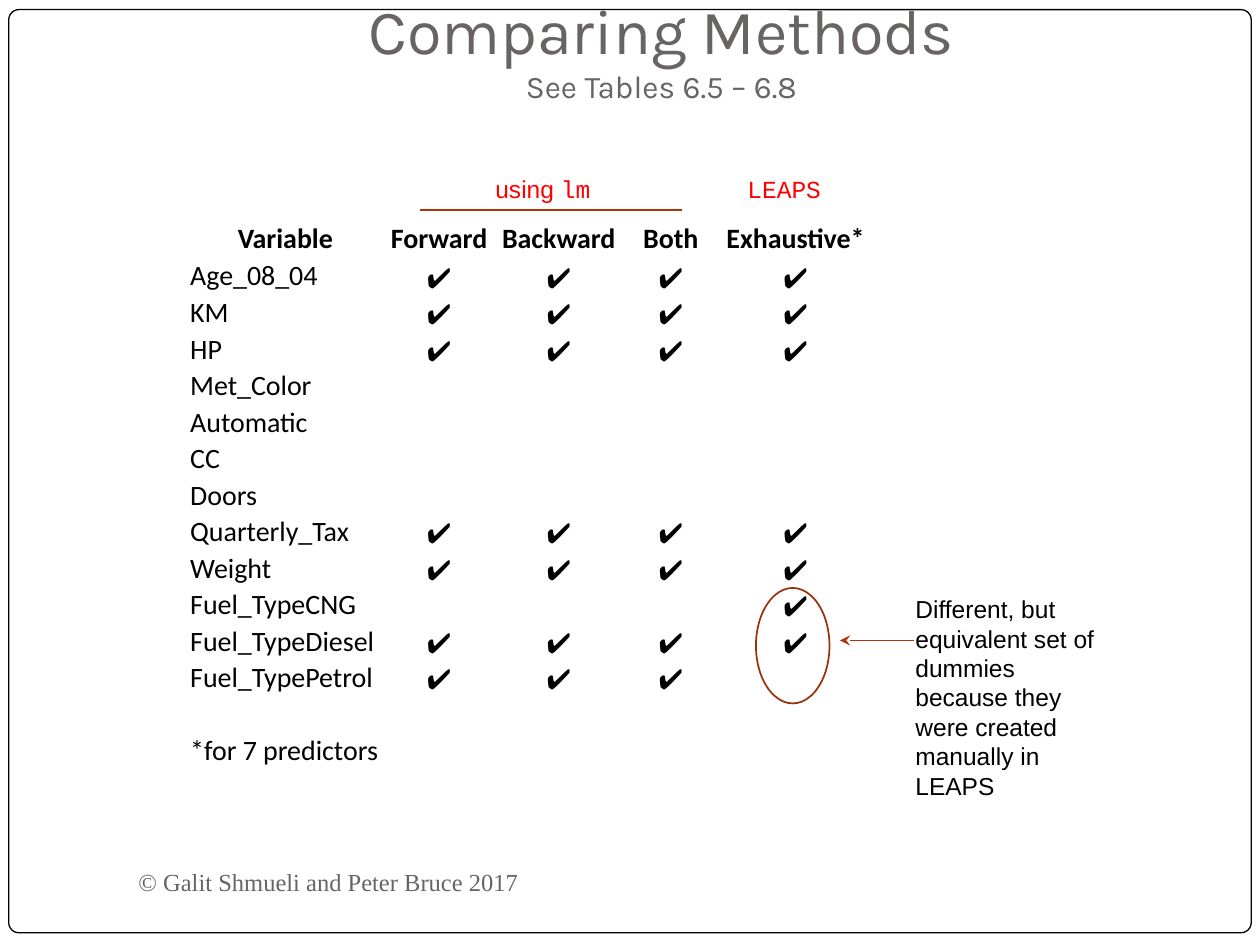
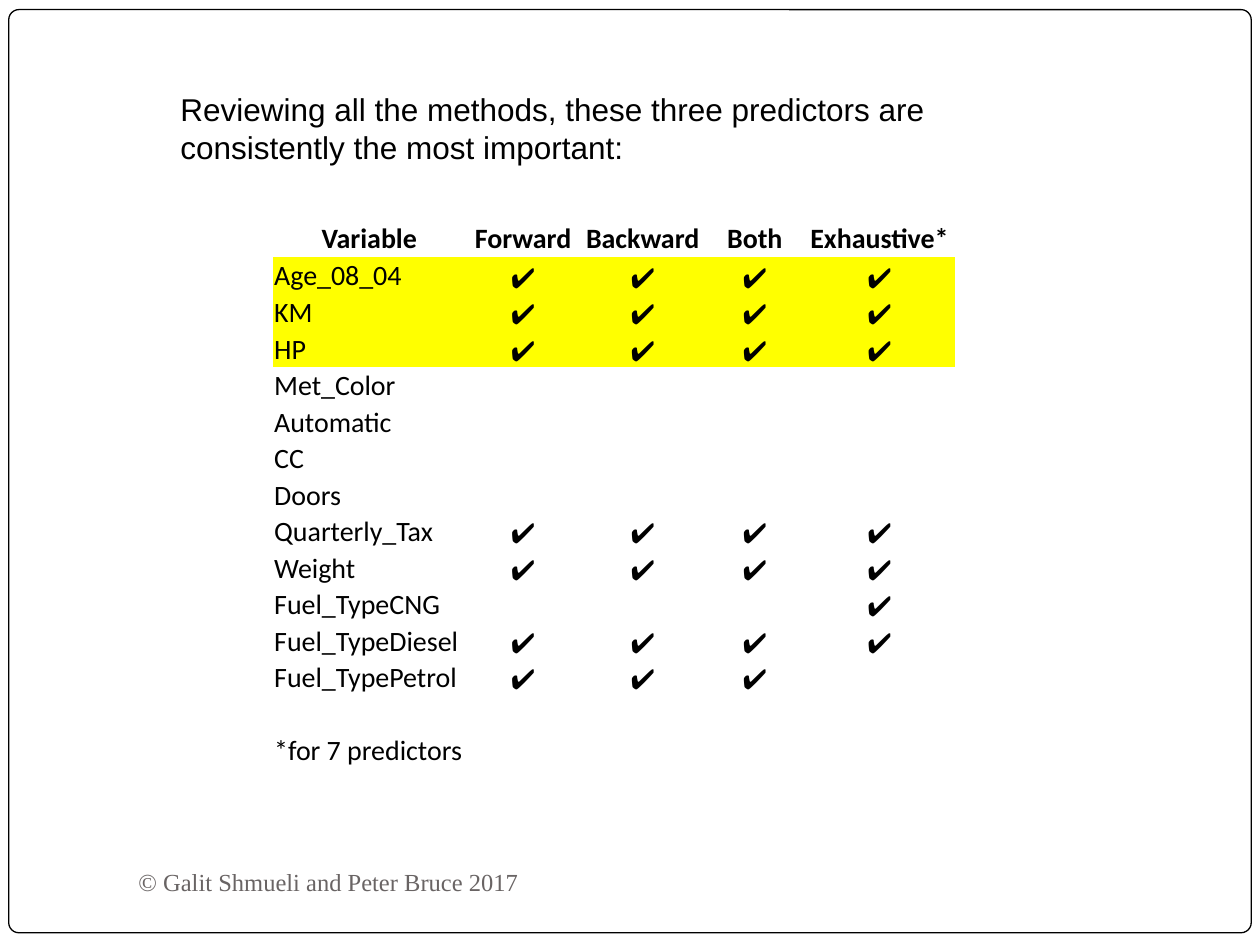
from lxml.etree import SubElement
from pptx import Presentation
from pptx.dml.color import RGBColor
from pptx.enum.shapes import MSO_CONNECTOR as CONN, MSO_SHAPE as SHAPE
from pptx.enum.text import MSO_ANCHOR as ANCHOR, PP_ALIGN as ALIGN
from pptx.oxml.ns import qn
from pptx.util import Pt

BLACK, WHITE, GREY, RED = "000000", "FFFFFF", "696464", "FF0000"
RUST, BROWN, YELLOW = "AF3408", "9B320E", "FFFF00"
NO_STYLE = "{2D5ABB26-0587-4C30-8999-92F81FD0307C}"
CHECK = "✔"
METHODS = ["Forward", "Backward", "Both", "Exhaustive*"]
COL_WIDTHS = [110.16, 65.52, 71.28, 56.88, 85.68]
ROW_HEIGHT = 20.88
ALL, NONE = [CHECK] * 4, [""] * 4
SELECTED = {
    "Age_08_04": ALL,
    "KM": ALL,
    "HP": ALL,
    "Met_Color": NONE,
    "Automatic": NONE,
    "CC": NONE,
    "Doors": NONE,
    "Quarterly_Tax": ALL,
    "Weight": ALL,
    "Fuel_TypeCNG": ["", "", "", CHECK],
    "Fuel_TypeDiesel": ALL,
    "Fuel_TypePetrol": [CHECK, CHECK, CHECK, ""],
    "": NONE,
    "*for 7 predictors": NONE,
}


def rgb(color):
    return RGBColor.from_string(color)


def set_font(font, name, size, color, bold=False):
    font.name, font.size, font.bold = name, Pt(size), bold
    font.color.rgb = rgb(color)


class Deck:
    """Holds the shared style and the slide being built."""

    def __init__(self):
        self.prs = Presentation()
        self.prs.slide_width, self.prs.slide_height = Pt(720), Pt(540)

    def new_slide(self):
        self.s = self.prs.slides.add_slide(self.prs.slide_layouts[6])
        frame = self.shape(SHAPE.ROUNDED_RECTANGLE, 5, 5.5, 710, 527.5, BLACK, 0.75, WHITE)
        frame.adjustments[0] = 0.011
        self.text(72, 486, 312, 36, "© Galit Shmueli and Peter Bruce 2017", 14,
                  "Times New Roman", GREY, anchor=ANCHOR.MIDDLE)

    def shape(self, kind, x, y, w, h, line, width, fill=None):
        sp = self.s.shapes.add_shape(kind, Pt(x), Pt(y), Pt(w), Pt(h))
        sp.shadow.inherit = False
        if fill:
            sp.fill.solid()
            sp.fill.fore_color.rgb = rgb(fill)
        else:
            sp.fill.background()
        sp.line.color.rgb, sp.line.width = rgb(line), Pt(width)
        return sp

    def text(self, x, y, w, h, text, size, font="Arial", color=BLACK, anchor=ANCHOR.TOP):
        tf = self.s.shapes.add_textbox(Pt(x), Pt(y), Pt(w), Pt(h)).text_frame
        tf.word_wrap, tf.vertical_anchor = True, anchor
        p = tf.paragraphs[0]
        p.text = text
        set_font(p.font, font, size, color)
        return tf

    def title(self, title, subtitle):
        tf = self.text(54, 36, 648, 78, title, 36, "Karla", GREY, ANCHOR.BOTTOM)
        tf.margin_bottom = Pt(54)
        p = tf.add_paragraph()
        p.text = subtitle
        set_font(p.font, "Karla", 18, GREY)
        for p in tf.paragraphs:
            p.alignment = ALIGN.CENTER

    def line(self, x1, y1, x2, y2, arrow=False):
        c = self.s.shapes.add_connector(CONN.STRAIGHT, Pt(x1), Pt(y1), Pt(x2), Pt(y2))
        c.line.color.rgb, c.line.width = rgb(RUST), Pt(0.75)
        if arrow:
            SubElement(c.line._get_or_add_ln(), qn("a:tailEnd"), type="stealth")
        SubElement(c._element.spPr, qn("a:effectLst"))

    def cell(self, cell, text, centred, header, fill):
        cell.margin_left = cell.margin_right = cell.margin_top = Pt(0.72)
        cell.margin_bottom = 0
        cell.vertical_anchor = ANCHOR.MIDDLE if header else ANCHOR.BOTTOM
        if fill:
            cell.fill.solid()
            cell.fill.fore_color.rgb = rgb(fill)
        else:
            cell.fill.background()
        p = cell.text_frame.paragraphs[0]
        p.alignment = ALIGN.CENTER if centred else ALIGN.LEFT
        set_font(p.font, "Noto Sans" if text == CHECK else "Calibri", 16, BLACK, header)
        if text:
            p.text = text
        else:
            SubElement(p._p, qn("a:endParaRPr"), sz="1000")

    def methods_table(self, x, highlighted=()):
        rows = [["Variable", *METHODS]] + [[name, *marks] for name, marks in SELECTED.items()]
        table = self.s.shapes.add_table(
            len(rows), len(COL_WIDTHS), Pt(x), Pt(126),
            Pt(sum(COL_WIDTHS)), Pt(ROW_HEIGHT * len(rows))).table
        table.first_row = table.horz_banding = False
        table._tbl.tblPr.find(qn("a:tableStyleId")).text = NO_STYLE
        for column, width in zip(table.columns, COL_WIDTHS):
            column.width = Pt(width)
        for i, row in enumerate(rows):
            table.rows[i].height = Pt(ROW_HEIGHT)
            fill = YELLOW if row[0] in highlighted else None
            for j, text in enumerate(row):
                self.cell(table.cell(i, j), text, i == 0 or j > 0, i == 0, fill)
        last = len(rows) - 1
        table.cell(last, 0).merge(table.cell(last, 1))


def comparing_methods(deck):
    deck.new_slide()
    deck.methods_table(108)
    deck.title("Comparing Methods", "See Tables 6.5 – 6.8")
    deck.shape(SHAPE.OVAL, 432, 336, 42, 66, BROWN, 1)
    deck.text(516, 336, 126, 126, "Different, but equivalent set of dummies because "
              "they were created manually in LEAPS", 14)
    deck.line(522, 366, 480, 366, arrow=True)
    deck.line(240, 120, 390, 120)
    tf = deck.text(276, 96, 78, 24.5, "using ", 14, color=RED)
    r = tf.paragraphs[0].add_run()
    r.text = "lm"
    r.font.name = "Courier New"
    deck.text(420, 96, 60, 24.5, "LEAPS", 14, "Courier New", RED)


def top_predictors(deck):
    deck.new_slide()
    deck.methods_table(156, highlighted=("Age_08_04", "KM", "HP"))
    deck.text(96, 48, 528, 51, "Reviewing all the methods, these three predictors are "
              "consistently the most important:", 18)


def main():
    deck = Deck()
    comparing_methods(deck)
    top_predictors(deck)
    deck.prs.save("out.pptx")


if __name__ == "__main__":
    main()
